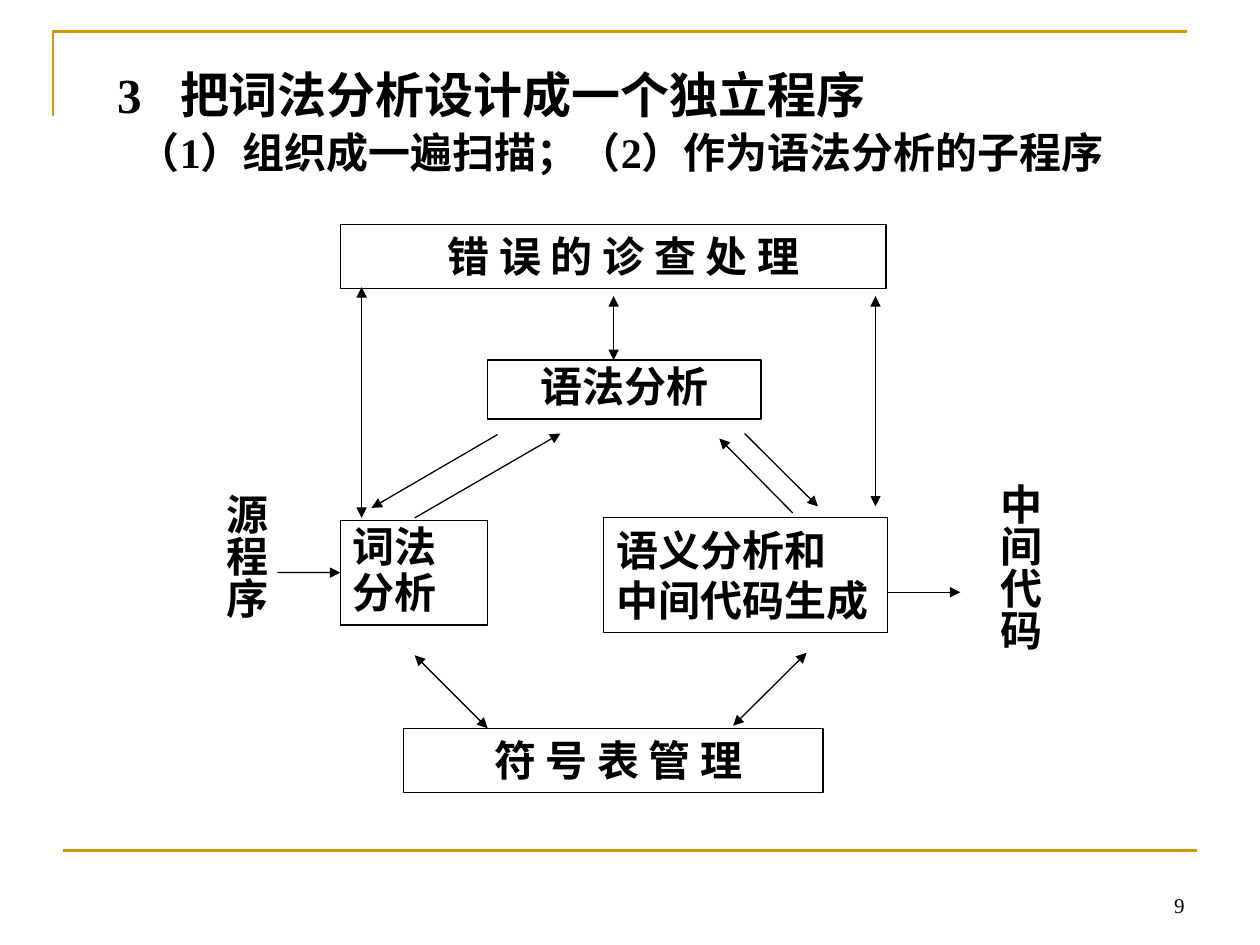
from pptx import Presentation
from pptx.dml.color import RGBColor
from pptx.enum.shapes import MSO_CONNECTOR, MSO_SHAPE
from pptx.enum.text import MSO_ANCHOR, PP_ALIGN
from pptx.oxml.ns import qn
from pptx.util import Cm, Pt
from lxml.etree import SubElement

FONT = "Times New Roman"
BLACK, WHITE, GOLD = "000000", "FFFFFF", "CC9900"


def color(text):
    return RGBColor.from_string(text)


def write(shape, text, size=24, bold=True, align=PP_ALIGN.LEFT, anchor=MSO_ANCHOR.TOP,
          indents=(0,), tab=None, space=None, before=0, vert=None):
    frame = shape.text_frame
    frame.word_wrap = True
    frame.vertical_anchor = anchor
    if vert:
        frame._txBody.bodyPr.set("vert", vert)
    for i, line in enumerate(text.split("\n")):
        para = frame.paragraphs[0] if i == 0 else frame.add_paragraph()
        props = para._p.get_or_add_pPr()
        props.set("marL", str(Cm(indents[i % len(indents)])))
        props.set("indent", "0")
        if tab:
            stops = SubElement(props, qn("a:tabLst"))
            SubElement(stops, qn("a:tab"), pos=str(Cm(tab)), algn="l")
        para.alignment = align
        if space:
            para.line_spacing = space
        if i and before:
            para.space_before = Pt(before)
        run = para.add_run()
        run.text = line
        font = run.font
        font.name, font.bold = FONT, bold
        font.size = Pt(size if isinstance(size, int) else size[i])
        font.color.rgb = color(BLACK)


def label(slide, x, y, w, h, text, **form):
    box = slide.shapes.add_textbox(Cm(x), Cm(y), Cm(w), Cm(h))
    write(box, text, **form)


def block(slide, x, y, w, h, text, edge=True, **form):
    box = slide.shapes.add_shape(MSO_SHAPE.RECTANGLE, Cm(x), Cm(y), Cm(w), Cm(h))
    box.shadow.inherit = False
    box.fill.solid()
    box.fill.fore_color.rgb = color(WHITE)
    if edge:
        box.line.color.rgb = color(BLACK)
        box.line.width = Pt(0.75)
    else:
        box.line.fill.background()
    write(box, text, **form)
    return box


def link(slide, x1, y1, x2, y2, tone=BLACK, width=0.75, ends=()):
    line = slide.shapes.add_connector(MSO_CONNECTOR.STRAIGHT, Cm(x1), Cm(y1), Cm(x2), Cm(y2))
    line.line.color.rgb = color(tone)
    line.line.width = Pt(width)
    props = line._element.spPr
    for end in ends:
        SubElement(props.find(qn("a:ln")), qn("a:" + end), type="triangle")
    SubElement(props, qn("a:effectLst"))
    return line


def border(slide, x, y, w, h):
    pen = slide.shapes.build_freeform(Cm(x), Cm(y + 1.7))
    pen.add_line_segments([(Cm(x), Cm(y)), (Cm(x + w), Cm(y))], close=False)
    frame = pen.convert_to_shape()
    frame.shadow.inherit = False
    frame.fill.background()
    frame.line.color.rgb = color(GOLD)
    frame.line.width = Pt(1.5)
    link(slide, x + 0.2, y + h, x + w + 0.2, y + h, tone=GOLD, width=1.5)


def header(slide, x, y, w, h):
    label(slide, x, y, w, h,
          "3\t把词法分析设计成一个独立程序\n（1）组织成一遍扫描；（2）作为语法分析的子程序",
          size=(28, 24), indents=(0, 0.42), tab=1.22, before=2)


def diagram(slide, x, y):
    mid = PP_ALIGN.CENTER
    blocks = {
        "lexer": (2.82, 5.97, 2.97, 2.11, "词法\n分析", dict(space=0.9)),
        "parser": (5.79, 2.74, 5.51, 1.19, "语法分析", dict(align=mid, space=0.9)),
        "coder": (8.13, 5.92, 5.72, 2.31, "语义分析和\n中间代码生成", {}),
        "source": (0, 5.18, 1.55, 4.01, "源程序", dict(edge=False, vert="eaVert")),
        "target": (15.6, 4.98, 1.55, 4.88, "中间代码", dict(edge=False, vert="eaVert")),
        "symbols": (4.09, 10.16, 8.46, 1.3, "符 号 表 管 理", dict(align=mid, indents=(0.21,))),
        "errors": (2.82, 0, 11, 1.3, "错 误 的 诊 查 处 理", dict(align=mid, indents=(0.42,))),
    }
    made = {name: block(slide, x + a, y + b, w, h, text, **form)
            for name, (a, b, w, h, text, form) in blocks.items()}

    one, two = ("tailEnd",), ("headEnd", "tailEnd")
    feed = link(slide, x + 1.55, y + 7.02, x + 2.82, y + 7.02, ends=one)
    feed.end_connect(made["lexer"], 1)
    arrows = [
        (13.84, 7.42, 15.32, 7.42, one),
        (5.99, 4.24, 3.45, 5.72, one),
        (4.32, 5.92, 7.26, 4.22, one),
        (10.97, 4.22, 12.45, 5.69, one),
        (11.94, 5.82, 10.46, 4.32, one),
        (4.32, 8.69, 5.79, 10.16, two),
        (12.22, 8.64, 10.74, 10.11, two),
        (3.25, 1.27, 3.25, 5.92, two),
        (8.33, 1.45, 8.33, 2.74, two),
        (13.61, 1.45, 13.61, 5.69, two),
    ]
    for a, b, c, d, ends in arrows:
        link(slide, x + a, y + b, x + c, y + d, ends=ends)


def footer(slide, x, y, w, h):
    label(slide, x, y, w, h, "9", size=12, bold=False,
          align=PP_ALIGN.RIGHT, anchor=MSO_ANCHOR.BOTTOM)


def main():
    deck = Presentation()
    deck.slide_width, deck.slide_height = Cm(25.4), Cm(19.05)
    slide = deck.slides.add_slide(deck.slide_layouts[6])
    border(slide, 1.07, 0.64, 22.86, 16.51)
    header(slide, 2.11, 1.17, 22.43, 2.57)
    diagram(slide, 4.04, 4.52)
    footer(slide, 18.21, 17.35, 5.92, 1.27)
    deck.save("out.pptx")


if __name__ == "__main__":
    main()
